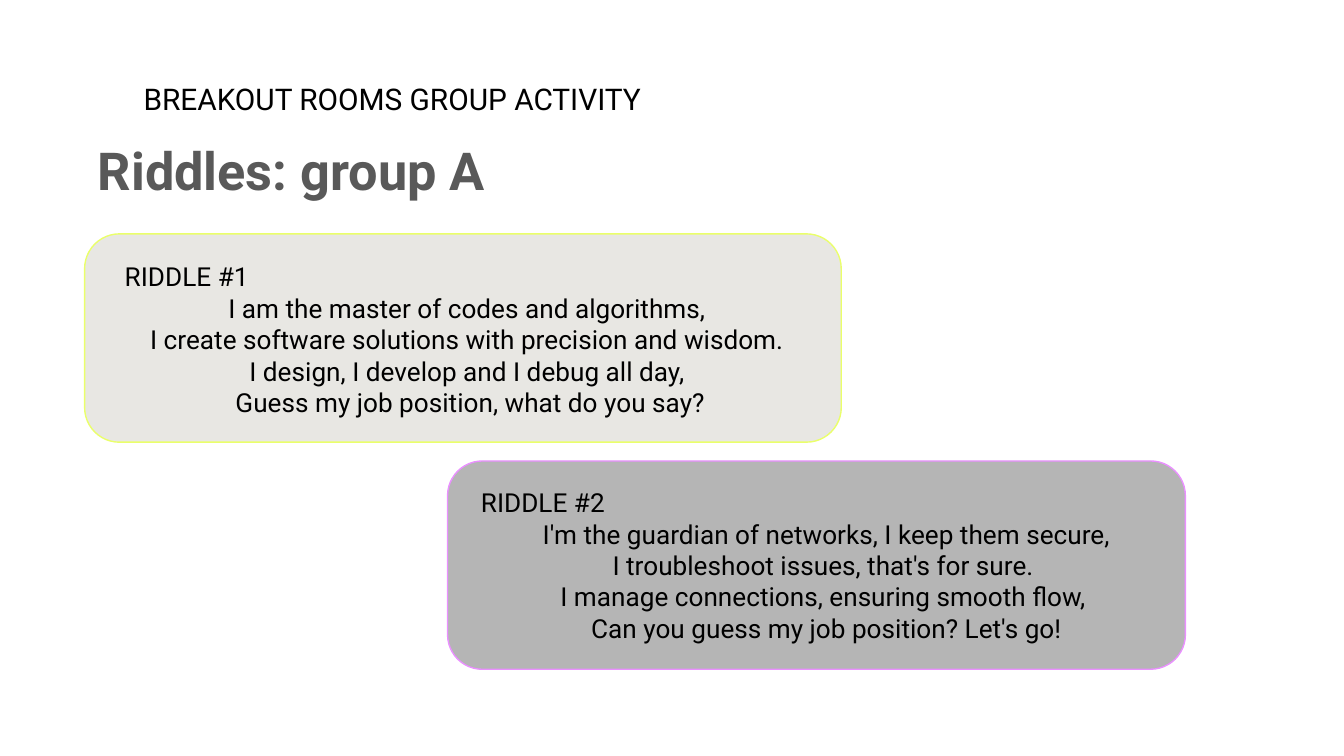
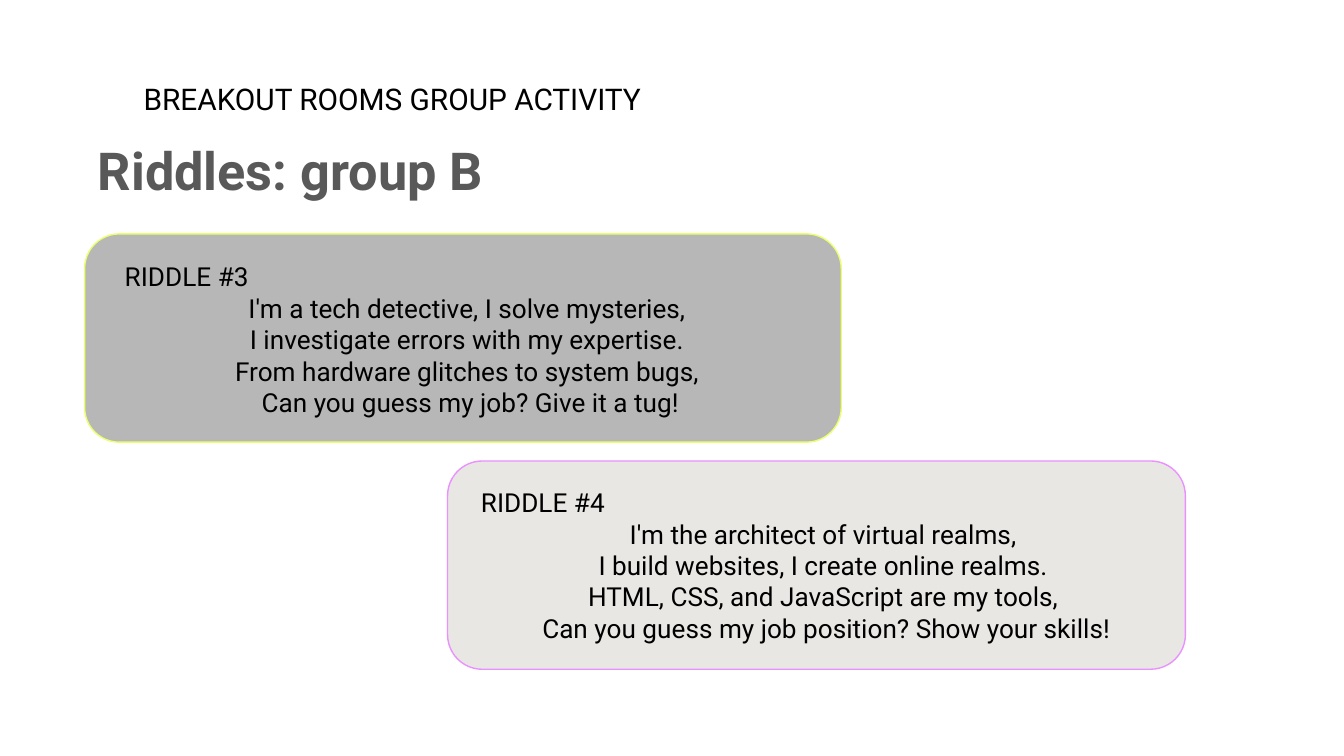
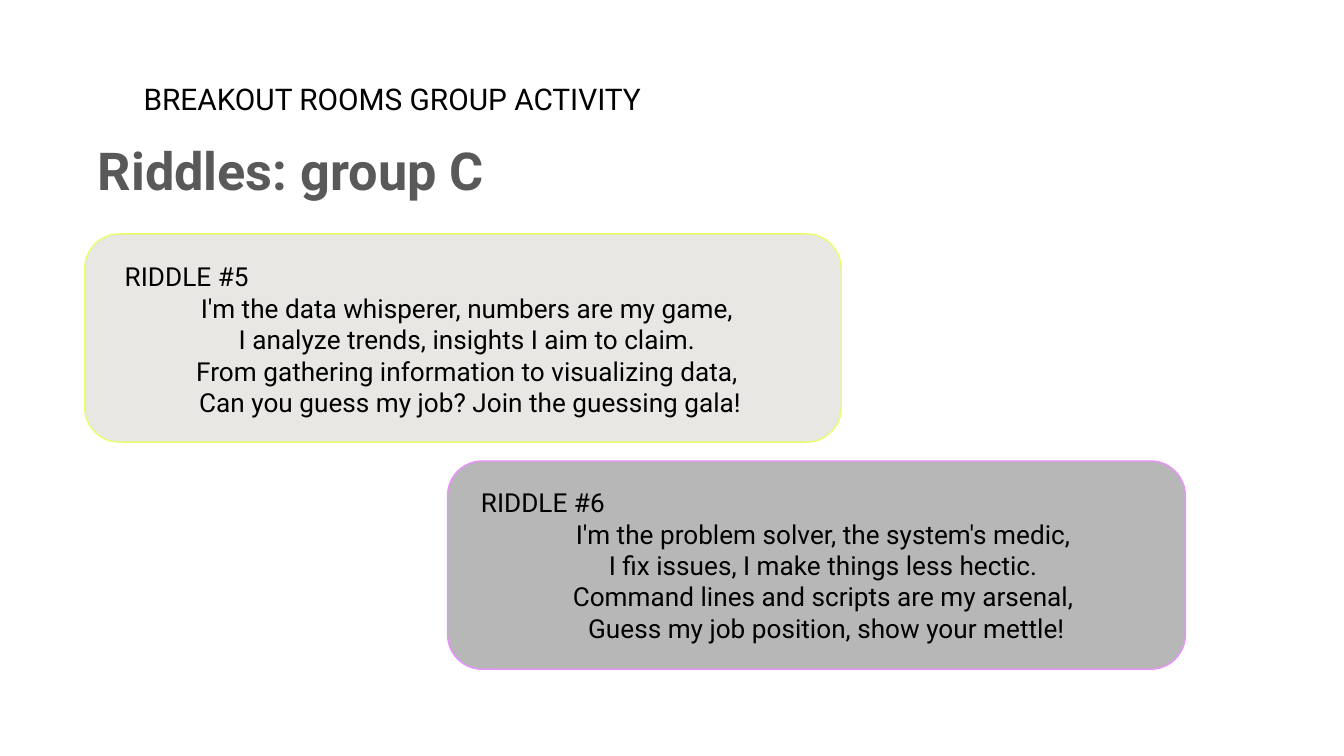
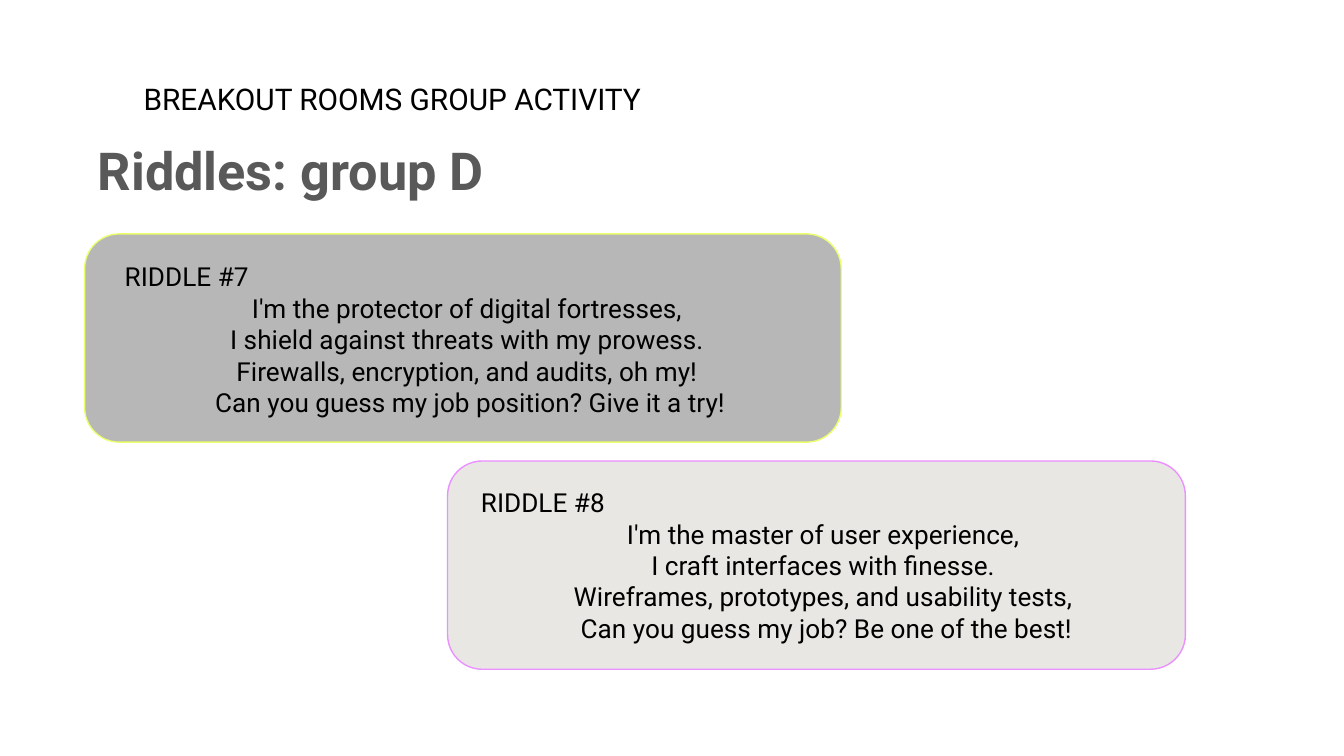
from copy import deepcopy
from typing import NamedTuple

from pptx import Presentation
from pptx.dml.color import RGBColor
from pptx.enum.shapes import MSO_SHAPE
from pptx.enum.text import MSO_AUTO_SIZE, PP_ALIGN
from pptx.oxml.ns import qn
from pptx.slide import Slide
from pptx.util import Inches, Pt

ROUND = MSO_SHAPE.ROUNDED_RECTANGLE
GROW = MSO_AUTO_SIZE.SHAPE_TO_FIT_TEXT
LEFT, CENTER = PP_ALIGN.LEFT, PP_ALIGN.CENTER

WIDTH = 10
HEIGHT = WIDTH * 9 / 16
FONT = "Roboto"
COLORS = {
    "black": "000000",
    "title": "595959",
    "pale": "E8E7E3",
    "gray": "B7B7B7",
    "steel": "B5B5B5",
    "lime": "EAFF6A",
    "pink": "EA90FF",
}


class Box(NamedTuple):
    left: float
    top: float
    width: float
    height: float


class Panel(NamedTuple):
    card: Box
    text: Box
    edge: str


class Group(NamedTuple):
    name: str
    fills: tuple[str, str]
    poems: tuple[list[str], list[str]]


# Places shared by all slides
LABEL = Box(0.97, 0.5, 4.73, 0.47)
TITLE = Box(0.63, 0.98, 8.75, 0.63)
PANELS = (
    Panel(Box(0.63, 1.74, 5.63, 1.55), Box(0.83, 1.84, 5.34, 1.38), "lime"),
    Panel(Box(3.33, 3.43, 5.49, 1.55), Box(3.48, 3.52, 5.34, 1.38), "pink"),
)

# Two riddles for each group
GROUPS = [
    Group("A", ("pale", "steel"), (
        ["I am the master of codes and algorithms, ",
         "I create software solutions with precision and wisdom. \n"
         "I design, I develop and I debug all day, ",
         "Guess my job position, what do you say?"],
        ["I'm the guardian of networks, I keep them secure,",
         "I troubleshoot issues, that's for sure. ",
         "I manage connections, ensuring smooth flow, ",
         "Can you guess my job position? Let's go!"])),
    Group("B", ("gray", "pale"), (
        ["I'm a tech detective, I solve mysteries, ",
         "I investigate errors with my expertise. ",
         "From hardware glitches to system bugs, ",
         "Can you guess my job? Give it a tug!"],
        ["I'm the architect of virtual realms, ",
         "I build websites, I create online realms. ",
         "HTML, CSS, and JavaScript are my tools, ",
         "Can you guess my job position? Show your skills!"])),
    Group("C", ("pale", "gray"), (
        ["I'm the data whisperer, numbers are my game, ",
         "I analyze trends, insights I aim to claim. ",
         "From gathering information to visualizing data, ",
         "Can you guess my job? Join the guessing gala!"],
        ["I'm the problem solver, the system's medic, ",
         "I fix issues, I make things less hectic. ",
         "Command lines and scripts are my arsenal, ",
         "Guess my job position, show your mettle!"])),
    Group("D", ("gray", "pale"), (
        ["I'm the protector of digital fortresses, ",
         "I shield against threats with my prowess. ",
         "Firewalls, encryption, and audits, oh my! ",
         "Can you guess my job position? Give it a try!"],
        ["I'm the master of user experience, ",
         "I craft interfaces with finesse. ",
         "Wireframes, prototypes, and usability tests, ",
         "Can you guess my job? Be one of the best!"])),
]


def paint(name: str) -> RGBColor:
    return RGBColor.from_string(COLORS[name])


def add_text(slide: Slide, box: Box, head: str, verse: list[str] | None = None, *,
             size: float, color: str = "black", bold: bool = False,
             space: float | None = None) -> None:
    """Write a left-aligned head line, then centred verse lines."""
    frame = slide.shapes.add_textbox(*map(Inches, box)).text_frame
    frame.word_wrap = True
    frame.auto_size = GROW
    frame.margin_left = frame.margin_right = Inches(0.1)
    frame.margin_top = frame.margin_bottom = Inches(0.1)
    for i, line in enumerate([head, *(verse or [])]):
        para = frame.add_paragraph() if i else frame.paragraphs[0]
        para.text = line
        para.alignment = CENTER if i else LEFT
        para.line_spacing = space
        for run in para.runs:
            font = run.font
            font.name, font.size, font.bold = FONT, Pt(size), bold
            font.color.rgb = paint(color)
        # A line break takes the format of its text
        for mark in para._p.findall(qn("a:br")):
            mark.append(deepcopy(para.runs[0]._r.find(qn("a:rPr"))))


def add_card(slide: Slide, box: Box, fill: str, edge: str) -> None:
    card = slide.shapes.add_shape(ROUND, *map(Inches, box))
    card.shadow.inherit = False
    card.fill.solid()
    card.fill.fore_color.rgb = paint(fill)
    card.line.color.rgb = paint(edge)
    card.line.width = Pt(0.75)


def add_group(slide: Slide, group: Group, first: int) -> None:
    # Cards, lower one at the back
    for panel, fill in reversed(list(zip(PANELS, group.fills))):
        add_card(slide, panel.card, fill, panel.edge)
    # Title, riddles and label
    add_text(slide, TITLE, f"Riddles: group {group.name}",
             size=28, color="title", bold=True, space=0.9)
    for num, (panel, poem) in enumerate(zip(PANELS, group.poems), first):
        add_text(slide, panel.text, f"RIDDLE #{num}", poem, size=14)
    add_text(slide, LABEL, "BREAKOUT ROOMS GROUP ACTIVITY", size=16)


def main() -> None:
    deck = Presentation()
    deck.slide_width, deck.slide_height = Inches(WIDTH), Inches(HEIGHT)
    blank = deck.slide_layouts[6]
    for i, group in enumerate(GROUPS):
        add_group(deck.slides.add_slide(blank), group, len(PANELS) * i + 1)
    deck.save("out.pptx")


if __name__ == "__main__":
    main()
